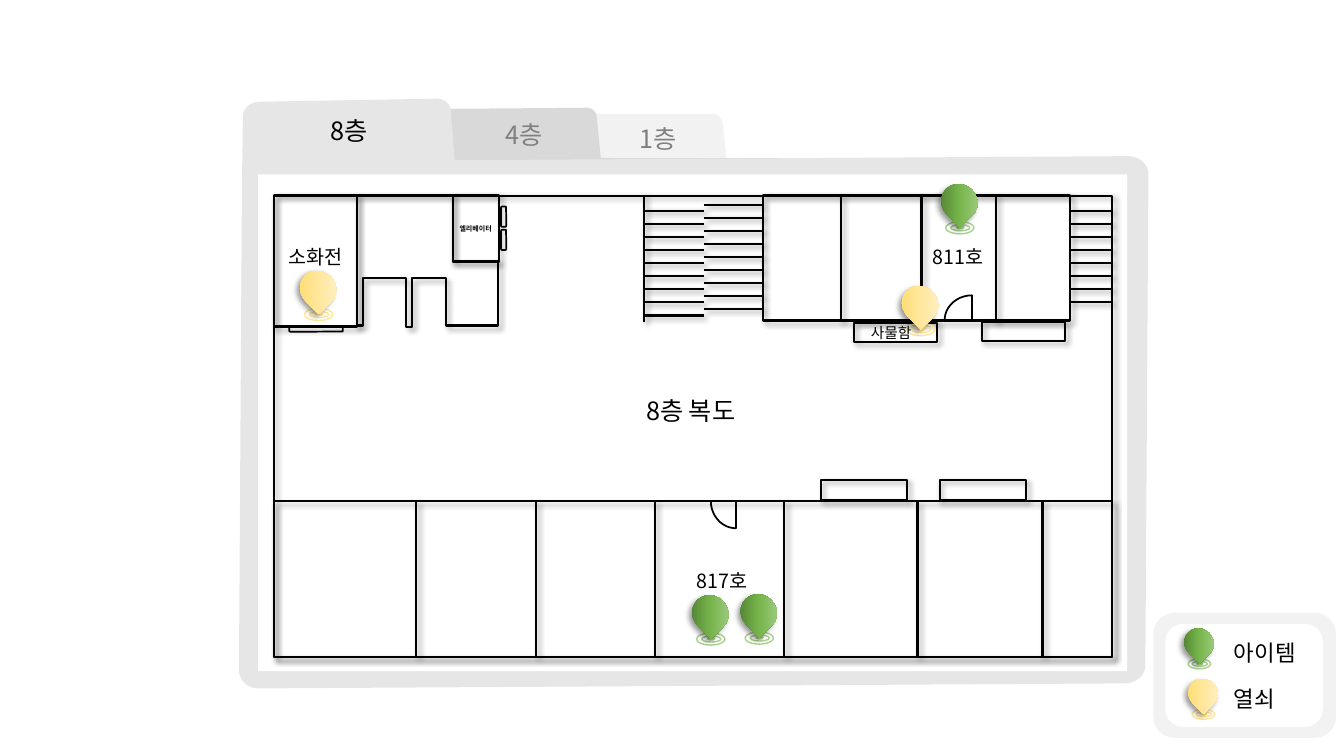
from copy import deepcopy

from lxml import etree
from pptx import Presentation
from pptx.dml.color import RGBColor
from pptx.enum.shapes import MSO_CONNECTOR, MSO_SHAPE
from pptx.enum.text import MSO_AUTO_SIZE
from pptx.oxml.ns import qn
from pptx.util import Inches, Pt

RECT = MSO_SHAPE.RECTANGLE
ROUND = MSO_SHAPE.ROUNDED_RECTANGLE
OVAL = MSO_SHAPE.OVAL
TEAR = MSO_SHAPE.TEAR
STRAIGHT = MSO_CONNECTOR.STRAIGHT
FIT = MSO_AUTO_SIZE.SHAPE_TO_FIT_TEXT

FONT = "Noto Sans CJK KR"
BLACK = RGBColor(0x00, 0x00, 0x00)
WHITE = RGBColor(0xFF, 0xFF, 0xFF)
GRAY = RGBColor(0x80, 0x80, 0x80)
PALE = RGBColor(0xF2, 0xF2, 0xF2)
MID = RGBColor(0xD9, 0xD9, 0xD9)
FRAME = RGBColor(0xE7, 0xE6, 0xE6)
LIME = RGBColor(0xA9, 0xD1, 0x8E)
SAND = RGBColor(0xFF, 0xE6, 0x99)
GREEN = [RGBColor(0x4B, 0x74, 0x30), RGBColor(0x74, 0xB3, 0x49), LIME]
GOLD = [RGBColor(0xFF, 0xD9, 0x66), SAND, RGBColor(0xFF, 0xF2, 0xCC)]

# Outlines: a pair is a corner, six numbers are a Bezier curve.
TAB_1 = [(5.82, 1.13), (7.05, 1.13), (7.11, 1.12, 7.16, 1.17, 7.17, 1.23),
         (7.21, 1.64), (9.45, 1.66), (9.42, 6.01), (5.87, 5.98),
         (5.8, 5.98, 5.73, 5.91, 5.73, 5.83), (5.7, 1.78), (5.7, 1.25),
         (5.7, 1.19, 5.76, 1.13, 5.82, 1.13)]
TAB_4 = [(5.79, 1.07), (5.86, 1.06, 5.92, 1.1, 5.92, 1.17), (5.96, 1.57),
         (11.18, 1.57), (11.27, 1.57, 11.34, 1.64, 11.34, 1.72),
         (11.33, 5.78), (11.33, 5.86, 11.27, 5.93, 11.18, 5.93),
         (4.46, 5.93), (4.37, 5.93, 4.31, 5.86, 4.31, 5.78), (4.31, 1.2),
         (4.31, 1.14, 4.37, 1.08, 4.45, 1.08)]
TAB_8 = [(4.3, 0.98), (4.39, 0.97, 4.47, 1.02, 4.47, 1.1), (4.51, 1.59),
         (11.19, 1.55), (11.3, 1.55, 11.39, 1.63, 11.39, 1.73),
         (11.36, 6.6), (11.36, 6.7, 11.27, 6.78, 11.16, 6.78),
         (2.56, 6.83), (2.46, 6.83, 2.37, 6.75, 2.37, 6.65), (2.4, 1.78),
         (2.41, 1.15), (2.41, 1.07, 2.49, 1.01, 2.58, 1.01)]
WALLS = [(3.54, 1.94), (4.49, 1.94), (4.49, 2.59), (4.94, 2.59),
         (4.94, 3.23), (4.42, 3.23), (4.42, 2.76), (4.09, 2.76),
         (4.09, 3.24), (4.03, 3.24), (4.03, 2.76), (3.6, 2.76),
         (3.6, 3.23), (3.54, 3.23)]
DOOR_811 = [(9.64, 2.93), (9.64, 3.18), (9.37, 3.18), (9.37, 3.16),
            (9.38, 3.03, 9.5, 2.93, 9.64, 2.93)]
DOOR_817 = [(7.05, 4.97), (7.3, 4.97), (7.3, 5.24), (7.28, 5.24),
            (7.15, 5.23, 7.05, 5.11, 7.05, 4.97)]


def trace(path, steps=10):
    """Turn corners and Bezier curves into a list of points."""
    points = [path[0]]
    for part in path[1:]:
        if len(part) == 2:
            points.append(part)
            continue
        ends = [points[-1], part[:2], part[2:4], part[4:]]
        for n in range(1, steps + 1):
            t = n / steps
            u = 1 - t
            marks = (u ** 3, 3 * u * u * t, 3 * u * t * t, t ** 3)
            points.append(tuple(sum(m * e[axis] for m, e in zip(marks, ends))
                                for axis in (0, 1)))
    return points


class Plan:
    def __init__(self, slide):
        self.root = self.shapes = slide.shapes

    def group(self):
        self.shapes = self.root.add_group_shape().shapes

    def leave(self):
        self.shapes = self.root

    def shade(self, item, angle):
        """Give a soft shadow towards angle, or none at all."""
        effects = etree.SubElement(item._element.spPr, qn("a:effectLst"))
        if angle is None:
            return
        outer = etree.SubElement(
            effects, qn("a:outerShdw"), blurRad=str(Pt(4)), dist=str(Pt(3)),
            dir=str(angle * 60000), algn="tl", rotWithShape="0")
        color = etree.SubElement(outer, qn("a:srgbClr"), val=str(BLACK))
        etree.SubElement(color, qn("a:alpha"), val="40000")

    def style(self, item, fill, line, width, angle):
        """Fill with nothing, one colour or a list of gradient colours."""
        if fill is None:
            item.fill.background()
        elif isinstance(fill, list):
            item.fill.gradient()
            item.fill.gradient_angle = 135
            stops = item._element.spPr.find(".//" + qn("a:gsLst"))
            stops.insert(1, deepcopy(stops[0]))
            for stop, at, color in zip(item.fill.gradient_stops,
                                       (0, 0.48, 1), fill):
                stop.position = at
                stop.color.rgb = color
        else:
            item.fill.solid()
            item.fill.fore_color.rgb = fill
        if line is None:
            item.line.fill.background()
        else:
            item.line.color.rgb = line
            item.line.width = Pt(width)
        self.shade(item, angle)

    def shape(self, kind, x, y, w, h, fill=None, line=None, width=1.5,
              angle=None):
        item = self.shapes.add_shape(kind, Inches(x), Inches(y),
                                     Inches(w), Inches(h))
        self.style(item, fill, line, width, angle)
        return item

    def room(self, x, y, w, h):
        self.shape(RECT, x, y, w, h, line=BLACK, angle=45)

    def slot(self, x, y, w, h):
        self.shape(ROUND, x, y, w, h, line=BLACK, width=1.25)

    def free(self, path, fill=None, line=None, width=1.5, angle=None):
        points = [(Inches(x), Inches(y)) for x, y in trace(path)]
        pen = self.shapes.build_freeform(*points[0])
        pen.add_line_segments(points[1:], close=True)
        self.style(pen.convert_to_shape(), fill, line, width, angle)

    def wall(self, x1, y1, x2, y2):
        item = self.shapes.add_connector(STRAIGHT, Inches(x1), Inches(y1),
                                         Inches(x2), Inches(y2))
        item.line.color.rgb = BLACK
        item.line.width = Pt(1.5)
        self.shade(item, 45)

    def stairs(self, x1, x2, top, count):
        for n in range(count):
            y = top + 0.13 * n
            self.wall(x1, y, x2, y)

    def text(self, words, x, y, w, h, size, color=BLACK, bold=False):
        box = self.shapes.add_textbox(Inches(x), Inches(y),
                                      Inches(w), Inches(h))
        frame = box.text_frame
        frame.word_wrap = True
        frame.auto_size = FIT
        para = frame.paragraphs[0]
        para.text = words
        font = para.font
        font.size, font.bold, font.name = Pt(size), bold, FONT
        font.color.rgb = color
        props = para._p.get_or_add_pPr().get_or_add_defRPr()
        etree.SubElement(props, qn("a:ea"), typeface=FONT)

    def pin(self, x, y, shades, ring, scale=1):
        """Draw a map pin whose drop has its corner at x, y."""
        for dx, dy, w, h, fill in ((0.04, 0.38, 0.28, 0.12, None),
                                   (0.09, 0.41, 0.19, 0.06, None),
                                   (0.15, 0.42, 0.07, 0.03, ring)):
            self.shape(OVAL, x + dx * scale, y + dy * scale, w * scale,
                       h * scale, fill, ring, 1)
        drop = self.shape(TEAR, x, y, 0.35 * scale, 0.37 * scale, shades,
                          angle=135)
        drop.rotation = 135


def main():
    deck = Presentation()
    deck.slide_width, deck.slide_height = Inches(13.33), Inches(7.5)
    plan = Plan(deck.slides.add_slide(deck.slide_layouts[6]))

    plan.group()
    for tab, fill in ((TAB_1, PALE), (TAB_4, MID), (TAB_8, FRAME)):
        plan.free(tab, fill)
    plan.shape(RECT, 2.56, 1.73, 8.62, 4.93, WHITE)
    plan.leave()

    for room in ((2.72, 1.94, 8.31, 4.58), (7.57, 1.94, 3.04, 1.24),
                 (2.72, 4.97, 8.31, 1.55), (4.49, 1.94, 0.46, 0.66),
                 (2.72, 1.94, 0.82, 1.3), (8.47, 3.2, 0.82, 0.19),
                 (9.74, 3.19, 0.82, 0.19), (8.14, 4.76, 0.86, 0.2),
                 (9.32, 4.76, 0.86, 0.2)):
        plan.room(*room)
    for x in (6.39, 8.34, 9.14, 9.88):
        plan.wall(x, 1.93, x, 3.19)
    for x in (4.13, 5.32, 6.5, 7.78, 9.1, 10.34):
        plan.wall(x, 4.97, x, 6.52)
    plan.stairs(6.39, 6.98, 2.09, 9)
    plan.stairs(6.98, 7.57, 2.03, 9)
    plan.stairs(10.61, 11.03, 2.09, 8)
    plan.free(WALLS, line=BLACK, angle=45)
    for door in (DOOR_811, DOOR_817):
        plan.free(door, line=BLACK, width=1.25)
    plan.slot(2.87, 3.24, 0.53, 0.05)
    for y in (2.05, 2.28):
        plan.slot(4.97, y, 0.05, 0.2)

    for label in (("소화전", 2.76, 2.38, 0.79, 0.34, 14),
                  ("엘리베이터", 4.46, 2.18, 0.56, 0.19, 5, BLACK, True),
                  ("811호", 9.15, 2.38, 0.8, 0.34, 14),
                  ("817호", 6.81, 5.59, 0.8, 0.34, 14),
                  ("8층 복도", 6.31, 3.87, 1.26, 0.4, 18),
                  ("8층", 3.18, 1.09, 0.69, 0.4, 18),
                  ("4층", 4.92, 1.13, 0.69, 0.4, 18, GRAY),
                  ("1층", 6.24, 1.17, 0.69, 0.4, 18, GRAY)):
        plan.text(*label)

    for x, y, shades, ring in ((6.87, 5.9, GREEN, LIME),
                               (9.34, 1.82, GREEN, LIME),
                               (2.98, 2.68, GOLD, SAND),
                               (8.95, 2.83, GOLD, SAND),
                               (7.35, 5.89, GREEN, LIME)):
        plan.group()
        plan.pin(x, y, shades, ring)
    plan.leave()
    plan.text("사물함", 8.54, 3.16, 0.66, 0.28, 10.5)

    plan.group()
    plan.shape(ROUND, 11.44, 6.08, 1.81, 1.24, PALE)
    plan.shape(ROUND, 11.56, 6.19, 1.56, 1.02, WHITE)
    plan.pin(11.79, 6.73, GOLD, SAND, 0.81)
    plan.pin(11.75, 6.23, GREEN, LIME, 0.81)
    plan.text("아이템", 12.14, 6.29, 1.01, 0.37, 16)
    plan.text("열쇠", 12.14, 6.75, 1.01, 0.37, 16)
    deck.save("out.pptx")


if __name__ == "__main__":
    main()
